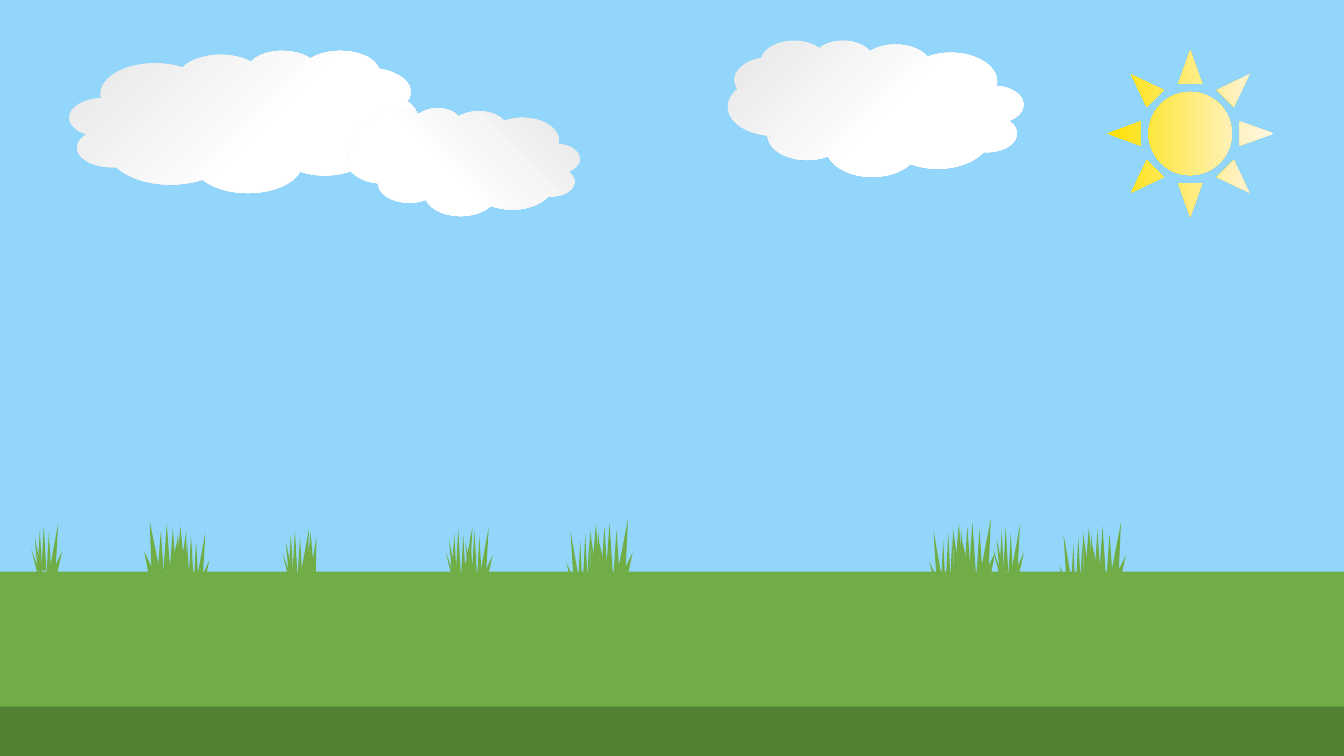
from copy import deepcopy

from pptx import Presentation
from pptx.dml.color import RGBColor
from pptx.enum.shapes import MSO_SHAPE
from pptx.oxml.ns import qn
from pptx.util import Emu

SUN, CLOUD = MSO_SHAPE.SUN, MSO_SHAPE.CLOUD
RECTANGLE, TRIANGLE = MSO_SHAPE.RECTANGLE, MSO_SHAPE.ISOSCELES_TRIANGLE

PX = 9144  # 100 px to the inch
PAGE_WIDTH, PAGE_HEIGHT = 1333, 750
SKY, GRASS, SOIL = "92D7FB", "70AD47", "548235"
SUNLIGHT = [(0, "FEE101"), (81, "FFF2C5"), (100, "FFF8E3")]

# Blades: left, top, width, height, rotation, flipped
TUFT_WIDTH = 25
TUFT = [
    (6, 3, 5, 44, 0, False),
    (11, 9, 5, 44, 0, False),
    (2, 7, 5, 44, 0, False),
    (15, 0, 8, 63, 6.8, True),
    (0, 14, 5, 41, 351.3, False),
    (18, 27, 7, 32, 19, False),
    (0, 25, 5, 43, 342.5, True),
]
TRIO_WIDTH = 12
TRIO = [
    (1, 0, 8, 44, 0, True),
    (6, 4, 6, 44, 4.9, False),
    (0, 6, 5, 44, 0, False),
]


def px(length):
    return Emu(round(length) * PX)


def color(value):
    return RGBColor.from_string(value)


def add_form(page, kind, left, top, width, height, rotation=0, flipped=False):
    form = page.shapes.add_shape(kind, px(left), px(top), px(width), px(height))
    form.shadow.inherit = False
    form.line.fill.background()
    form.rotation = rotation
    if flipped:
        form._element.spPr.find(qn("a:xfrm")).set("flipH", "1")
    return form


def paint(form, value):
    form.fill.solid()
    form.fill.fore_color.rgb = color(value)


def paint_gradient(form, stops, clockwise):
    form.fill.gradient()
    form.fill.gradient_angle = (360 - clockwise) % 360
    stop_list = form._element.spPr.find(qn("a:gradFill")).find(qn("a:gsLst"))
    for _ in stops[2:]:
        stop_list.append(deepcopy(stop_list[-1]))
    for stop, (percent, value) in zip(form.fill.gradient_stops, stops):
        stop.position = percent / 100
        stop.color.rgb = color(value)


def add_cloud(page, left, top, width, height, white_from, clockwise, flipped=False):
    cloud = add_form(page, CLOUD, left, top, width, height, flipped=flipped)
    stops = [(0, "E7E6E6"), (white_from, "FFFFFF"), (100, "FFFFFF")]
    paint_gradient(cloud, stops, clockwise)


def add_blades(page, blades, span, left, top, wide=1, tall=1, mirrored=False):
    for x, y, width, height, rotation, flipped in blades:
        if mirrored:
            x = span - x - width
            rotation = (360 - rotation) % 360
        blade = add_form(page, TRIANGLE, left + x * wide, top + y * tall,
                         width * wide, height * tall, rotation, flipped != mirrored)
        paint(blade, GRASS)


def add_tuft(page, left, top, **options):
    add_blades(page, TUFT, TUFT_WIDTH, left, top, **options)


def add_trio(page, left, top, **options):
    add_blades(page, TRIO, TRIO_WIDTH, left, top, **options)


def add_clump(page, left, top):
    add_trio(page, left + 20, top - 7, tall=1.11, mirrored=True)
    add_tuft(page, left, top, tall=1.11, mirrored=True)
    add_tuft(page, left + 29, top - 12, wide=1.32, tall=1.17)


def main():
    deck = Presentation()
    deck.slide_width, deck.slide_height = px(PAGE_WIDTH), px(PAGE_HEIGHT)
    page = deck.slides.add_slide(deck.slide_layouts[6])

    # Sky
    page.background.fill.solid()
    page.background.fill.fore_color.rgb = color(SKY)
    paint_gradient(add_form(page, SUN, 1098, 50, 165, 165), SUNLIGHT, 0)
    add_cloud(page, 69, 50, 346, 141, 60, 45)
    add_cloud(page, 344, 107, 231, 107, 60, 45, flipped=True)
    add_cloud(page, 722, 40, 293, 135, 57, 135, flipped=True)

    # Meadow
    paint(add_form(page, RECTANGLE, 0, 567, PAGE_WIDTH, 183), GRASS)

    # Single tufts
    for left, top in [(35, 519), (181, 528), (284, 523),
                      (446, 522), (462, 523), (989, 520)]:
        add_tuft(page, left, top)

    # Fuller tufts
    add_trio(page, 174, 522)
    add_tuft(page, 144, 517, wide=1.32, tall=1.07, mirrored=True)
    add_trio(page, 303, 528)
    for left, top in [(924, 526), (564, 527), (1053, 530)]:
        add_clump(page, left, top)

    # Soil
    paint(add_form(page, RECTANGLE, 0, 701, PAGE_WIDTH, 49), SOIL)

    deck.save("out.pptx")


if __name__ == "__main__":
    main()
